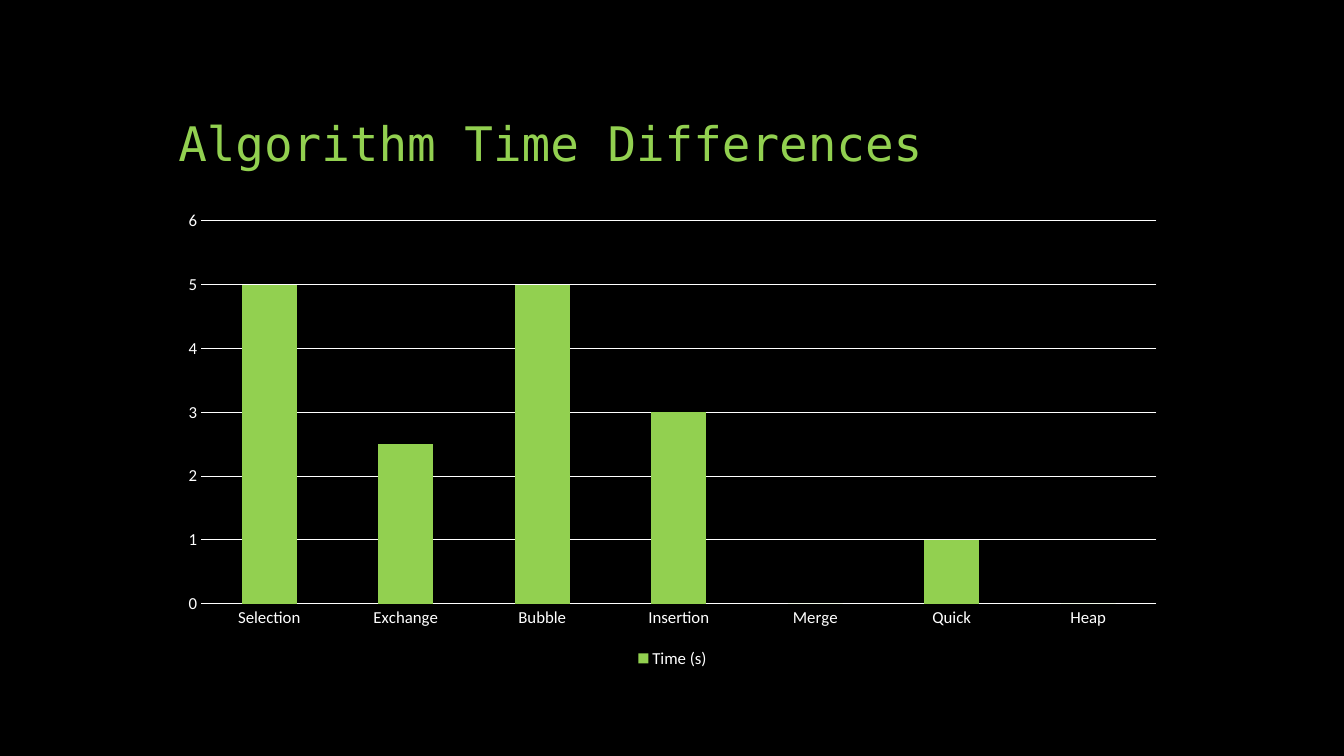
from pptx import Presentation
from pptx.chart.data import CategoryChartData
from pptx.dml.color import RGBColor
from pptx.enum.chart import XL_CHART_TYPE, XL_LEGEND_POSITION, XL_TICK_MARK
from pptx.enum.text import MSO_ANCHOR
from pptx.util import Inches, Pt

BLACK = RGBColor(0x00, 0x00, 0x00)
WHITE = RGBColor(0xFF, 0xFF, 0xFF)
GREEN = RGBColor(0x92, 0xD0, 0x50)

TIMES = {
    "Selection": 5,
    "Exchange": 2.5,
    "Bubble": 5,
    "Insertion": 3,
    "Merge": 0,
    "Quick": 1,
    "Heap": 0,
}


def style_font(font, name, size, color):
    font.name = name
    font.size = Pt(size)
    font.color.rgb = color


def style_line(line):
    line.color.rgb = WHITE
    line.width = Pt(0.75)


def add_title(page, left, top, width, height):
    box = page.shapes.add_textbox(left, top, width, height)
    frame = box.text_frame
    frame.word_wrap = True
    frame.vertical_anchor = MSO_ANCHOR.BOTTOM
    para = frame.paragraphs[0]
    para.text = "Algorithm Time Differences"
    para.line_spacing = 0.9
    style_font(para.font, "DejaVu Sans Mono", 34, GREEN)


def add_time_chart(page, left, top, width, height):
    data = CategoryChartData()
    data.categories = list(TIMES)
    data.add_series("Time (s)", list(TIMES.values()))
    chart = page.shapes.add_chart(
        XL_CHART_TYPE.COLUMN_CLUSTERED, left, top, width, height, data
    ).chart
    chart.has_title = False
    style_font(chart.font, "Calibri", 10, WHITE)

    plot = chart.plots[0]
    plot.gap_width = 149
    plot.overlap = 7
    plot.vary_by_categories = False
    fill = plot.series[0].format.fill
    fill.solid()
    fill.fore_color.rgb = GREEN

    for axis in (chart.category_axis, chart.value_axis):
        axis.major_tick_mark = XL_TICK_MARK.NONE
        axis.minor_tick_mark = XL_TICK_MARK.NONE
        style_font(axis.tick_labels.font, "Calibri", 12, WHITE)
    style_line(chart.category_axis.format.line)
    value_axis = chart.value_axis
    value_axis.minimum_scale = 0
    value_axis.maximum_scale = 6
    value_axis.major_unit = 1
    value_axis.format.line.fill.background()
    style_line(value_axis.major_gridlines.format.line)

    chart.has_legend = True
    chart.legend.position = XL_LEGEND_POSITION.BOTTOM
    chart.legend.include_in_layout = False
    style_font(chart.legend.font, "Calibri", 12, WHITE)


def main():
    deck = Presentation()
    deck.slide_width = Inches(13.33)
    deck.slide_height = Inches(7.5)
    page = deck.slides.add_slide(deck.slide_layouts[6])
    background = page.background.fill
    background.solid()
    background.fore_color.rgb = BLACK

    left, width = Inches(1.67), Inches(10)
    add_title(page, left, Inches(0.5), width, Inches(1.25))
    add_time_chart(page, left, Inches(2), width, Inches(4.67))
    deck.save("out.pptx")


if __name__ == "__main__":
    main()
